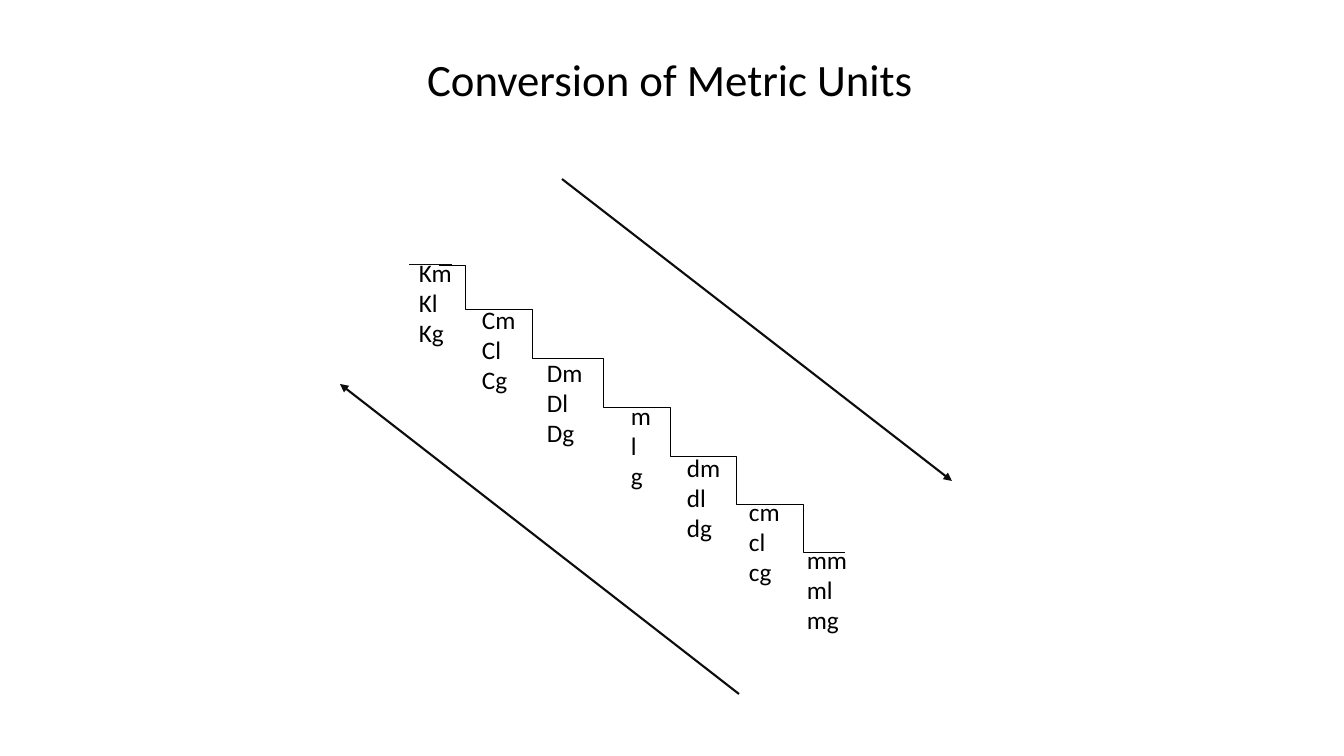
from typing import NamedTuple

from lxml import etree
from pptx import Presentation
from pptx.dml.color import RGBColor
from pptx.enum.shapes import MSO_CONNECTOR
from pptx.enum.text import MSO_ANCHOR, MSO_AUTO_SIZE, PP_ALIGN
from pptx.oxml.ns import qn
from pptx.slide import Slide
from pptx.text.text import TextFrame
from pptx.util import Emu, Pt

BLACK = RGBColor(0x00, 0x00, 0x00)
NEAR_BLACK = RGBColor(0x0D, 0x0D, 0x0D)
FONT = "Calibri"
EMU_PER_PIXEL = 914400 / 100.8
LABEL_HEIGHT = 102


class Point(NamedTuple):
    x: int
    y: int


class UnitLabel(NamedTuple):
    prefix: str
    left: int
    top: int
    width: int


class Stroke(NamedTuple):
    color: RGBColor
    width: float
    arrow: bool = False


STEP_STROKE = Stroke(BLACK, 0.5)
LANDING_STROKE = Stroke(NEAR_BLACK, 0.75)
ARROW_STROKE = Stroke(NEAR_BLACK, 1.5, arrow=True)

STEP_LEFTS = [439, 491, 562, 629, 695, 762]
STEP_LEVELS = [265, 309, 358, 407, 456, 504, 552]
FIRST_STEP_WIDTH = 52
STEP_WIDTH = 83

UNIT_LABELS = [
    UnitLabel("K", 409, 252, 61),
    UnitLabel("C", 472, 299, 59),
    UnitLabel("D", 537, 352, 66),
    UnitLabel("", 621, 395, 49),
    UnitLabel("d", 677, 447, 74),
    UnitLabel("c", 739, 491, 69),
    UnitLabel("m", 797, 539, 77),
]
BASE_UNITS = ["m", "l", "g"]


def px(pixels: int) -> Emu:
    return Emu(round(pixels * EMU_PER_PIXEL))


def add_line(slide: Slide, kind: MSO_CONNECTOR, start: Point, end: Point,
             stroke: Stroke) -> None:
    line = slide.shapes.add_connector(
        kind, px(start.x), px(start.y), px(end.x), px(end.y))
    line.line.color.rgb = stroke.color
    line.line.width = Pt(stroke.width)
    properties = line._element.spPr
    if stroke.arrow:
        outline = properties.find(qn("a:ln"))
        etree.SubElement(outline, qn("a:tailEnd"), type="triangle")
    etree.SubElement(properties, qn("a:effectLst"))


def write_text(frame: TextFrame, lines: list[str], size: int,
               align: PP_ALIGN) -> None:
    frame.word_wrap = True
    frame.auto_size = MSO_AUTO_SIZE.SHAPE_TO_FIT_TEXT
    frame.vertical_anchor = MSO_ANCHOR.TOP
    frame.text = "\n".join(lines)
    for paragraph in frame.paragraphs:
        paragraph.alignment = align
        font = paragraph.runs[0].font
        font.name = FONT
        font.size = Pt(size)
        font.color.rgb = BLACK


def add_title(slide: Slide, text: str) -> None:
    title = slide.shapes.title
    title.left, title.top = px(304), px(47)
    title.width, title.height = px(732), px(64)
    write_text(title.text_frame, [text], 32, PP_ALIGN.CENTER)


def add_unit_label(slide: Slide, label: UnitLabel) -> None:
    box = slide.shapes.add_textbox(
        px(label.left), px(label.top), px(label.width), px(LABEL_HEIGHT))
    units = [label.prefix + unit for unit in BASE_UNITS]
    write_text(box.text_frame, units, 18, PP_ALIGN.LEFT)


def add_staircase(slide: Slide) -> None:
    for index, left in enumerate(STEP_LEFTS):
        width = STEP_WIDTH if index else FIRST_STEP_WIDTH
        start = Point(left, STEP_LEVELS[index])
        end = Point(left + width, STEP_LEVELS[index + 1])
        add_line(slide, MSO_CONNECTOR.ELBOW, start, end, STEP_STROKE)
    add_line(slide, MSO_CONNECTOR.STRAIGHT, Point(452, 265), Point(409, 265),
             LANDING_STROKE)


presentation = Presentation()
presentation.slide_width = px(1344)
presentation.slide_height = px(756)
slide = presentation.slides.add_slide(presentation.slide_layouts[5])

add_title(slide, "Conversion of Metric Units")
add_staircase(slide)
for unit_label in UNIT_LABELS:
    add_unit_label(slide, unit_label)
add_line(slide, MSO_CONNECTOR.STRAIGHT, Point(562, 179), Point(952, 481),
         ARROW_STROKE)
add_line(slide, MSO_CONNECTOR.STRAIGHT, Point(739, 694), Point(340, 384),
         ARROW_STROKE)

presentation.save("out.pptx")
